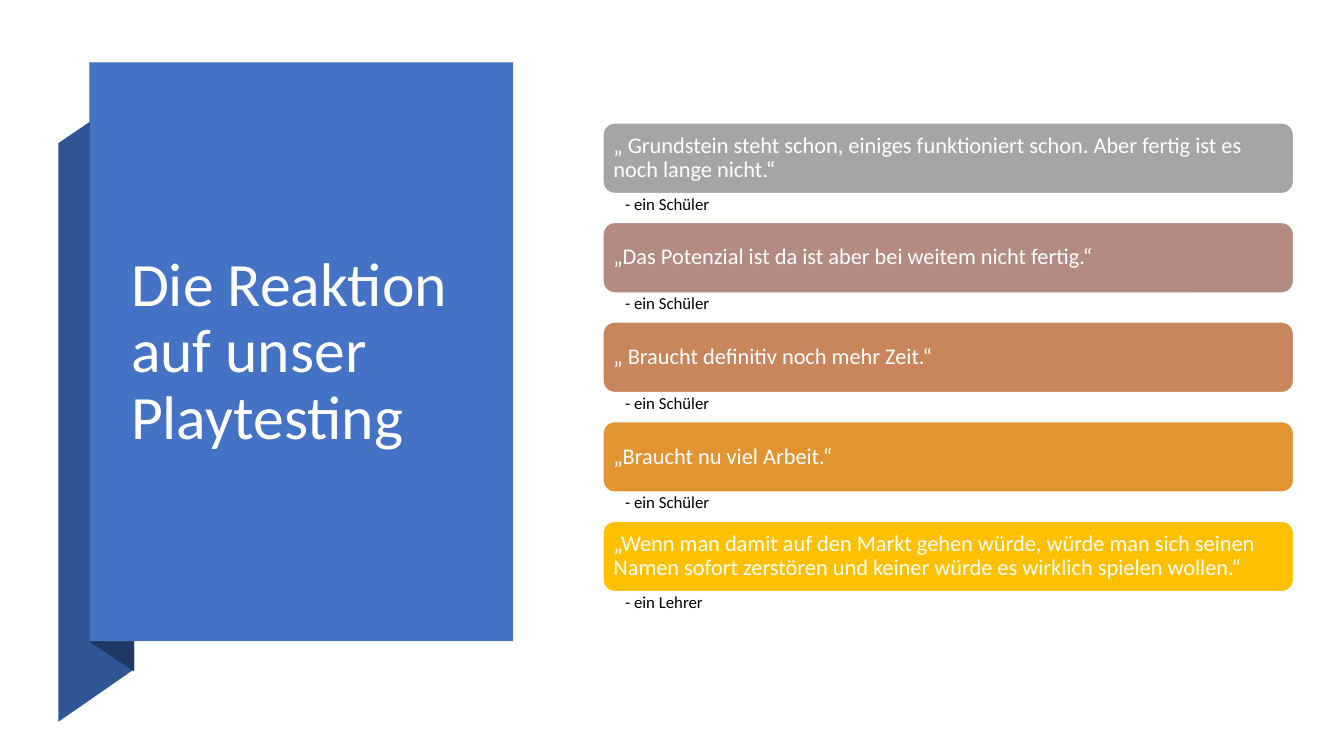
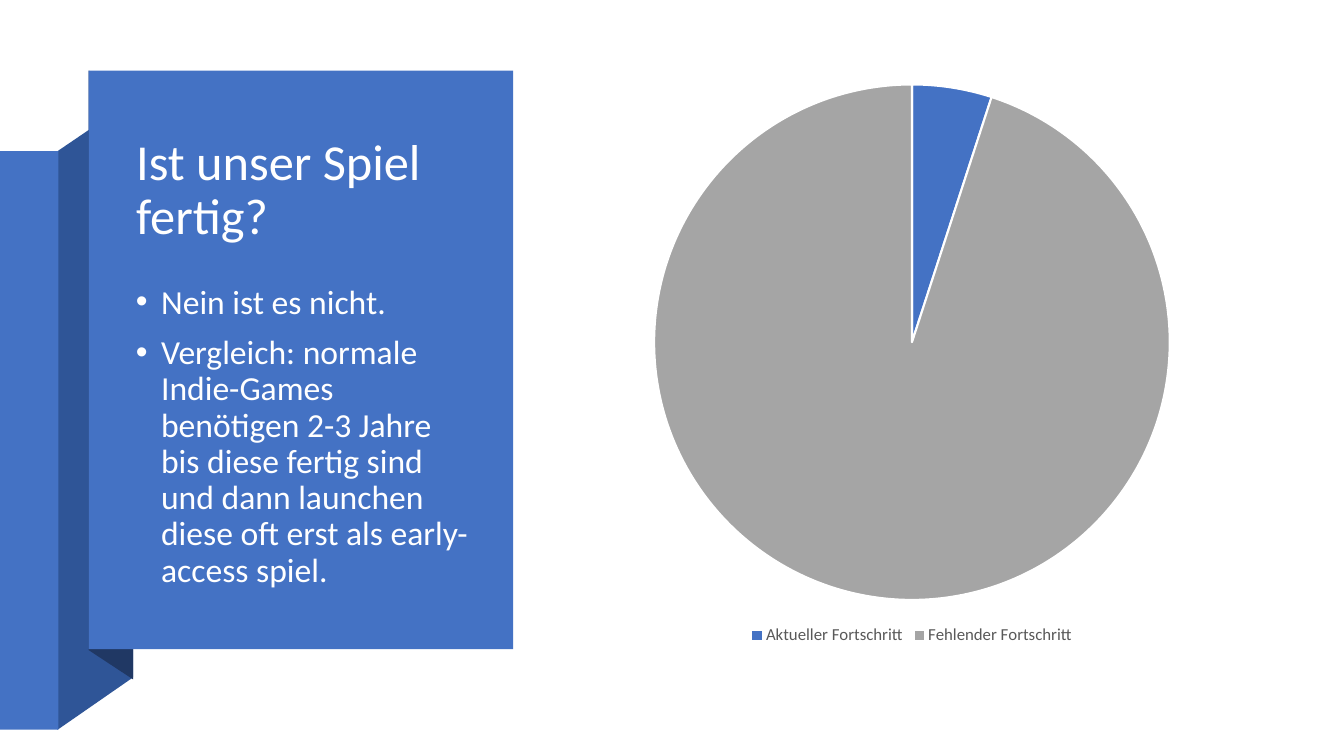
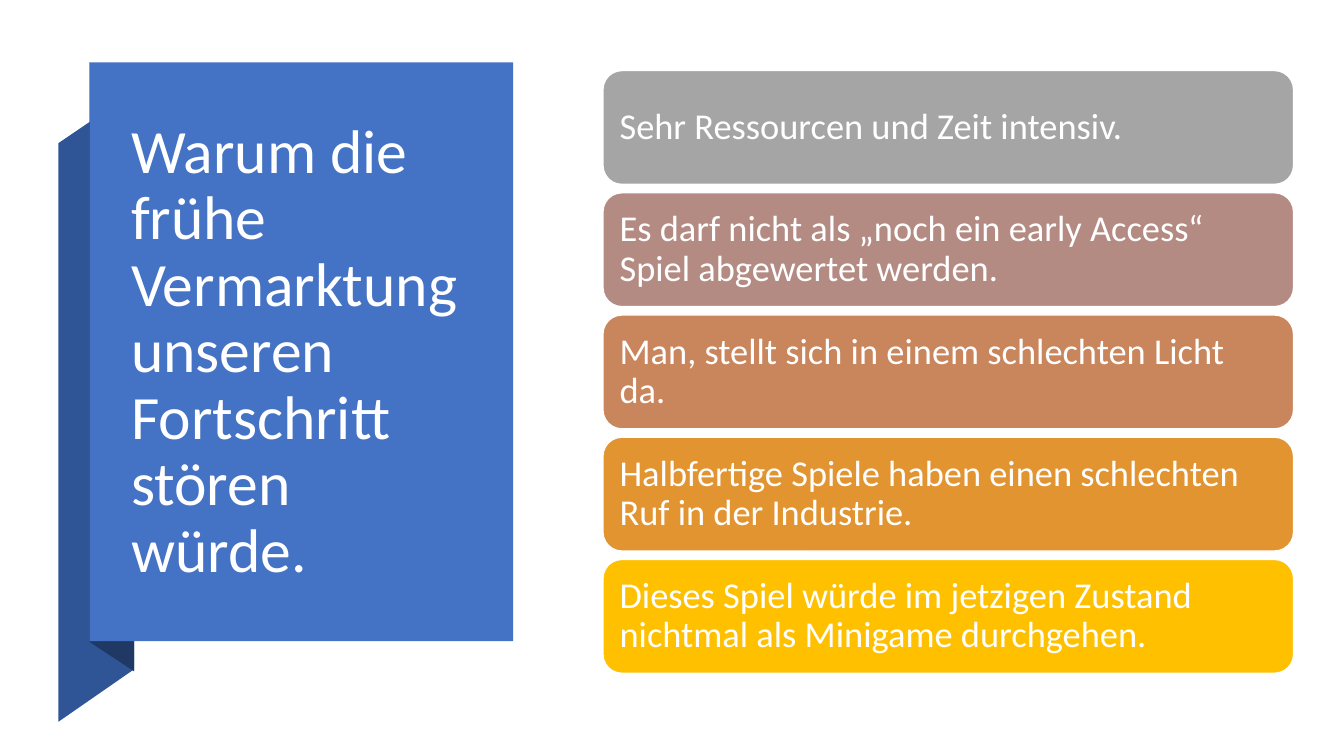
from lxml import etree
from pptx import Presentation
from pptx.chart.data import CategoryChartData
from pptx.dml.color import RGBColor
from pptx.enum import chart as ch, shapes, text
from pptx.oxml.ns import qn
from pptx.util import Inches, Pt

FONT = "Calibri"
WHITE, BLACK, GREY = "FFFFFF", "000000", "595959"
PANEL, BAND, FOLD = "4472C4", "2F5597", "203864"
CARD_COLORS = ["A5A5A5", "B48B83", "C9855C", "E19430", "FFC000"]

PANEL_HEIGHT = 5.74
# Ribbon outlines, relative to the top left corner of the panel
BAND_OUTLINE = [(-0.31, 6.54), (0.44, 6.02), (0.44, 0.29), (-0.31, 0.8)]
FOLD_OUTLINE = [(0, 5.75), (0.44, 6.04), (0.44, 0.28), (0, 0)]
CARD_LEFT, CARD_WIDTH = 5.98, 6.85

REACTIONS = [
    ("„ Grundstein steht schon, einiges funktioniert schon. Aber fertig ist es noch lange nicht.“",
     "- ein Schüler"),
    ("„Das Potenzial ist da ist aber bei weitem nicht fertig.“", "- ein Schüler"),
    ("„ Braucht definitiv noch mehr Zeit.“", "- ein Schüler"),
    ("„Braucht nu viel Arbeit.“", "- ein Schüler"),
    ("„Wenn man damit auf den Markt gehen würde, würde man sich seinen Namen sofort "
     "zerstören und keiner würde es wirklich spielen wollen.“", "- ein Lehrer"),
]
ANSWERS = [
    "Nein ist es nicht.",
    "Vergleich: normale Indie-Games benötigen 2-3 Jahre bis diese fertig sind und dann "
    "launchen diese oft erst als early-access spiel.",
]
PROGRESS = [("Aktueller Fortschritt", 5, "4472C4"), ("Fehlender Fortschritt", 95, "A5A5A5")]
REASONS = [
    "Sehr Ressourcen und Zeit intensiv.",
    "Es darf nicht als „noch ein early Access“ Spiel abgewertet werden.",
    "Man, stellt sich in einem schlechten Licht da.",
    "Halbfertige Spiele haben einen schlechten Ruf in der Industrie.",
    "Dieses Spiel würde im jetzigen Zustand nichtmal als Minigame durchgehen.",
]


def rgb(color):
    return RGBColor.from_string(color)


def box(left, top, width, height):
    return Inches(left), Inches(top), Inches(width), Inches(height)


def style_font(font, size, color):
    font.name, font.size, font.color.rgb = FONT, Pt(size), rgb(color)


def write(sp, paragraphs, size, color=WHITE, middle=False, insets=(0.1, 0.05, 0.1, 0.05),
          before=0, bullet=False):
    tf = sp.text_frame
    tf.word_wrap = True
    tf.auto_size = text.MSO_AUTO_SIZE.NONE
    tf.vertical_anchor = text.MSO_ANCHOR.MIDDLE if middle else text.MSO_ANCHOR.TOP
    tf.margin_left, tf.margin_top, tf.margin_right, tf.margin_bottom = map(Inches, insets)
    for i, words in enumerate(paragraphs):
        p = tf.add_paragraph() if i else tf.paragraphs[0]
        p.alignment = text.PP_ALIGN.LEFT
        p.line_spacing = 0.9
        p.space_before = Pt(before)
        r = p.add_run()
        r.text = words
        style_font(r.font, size, color)
        if bullet:
            props = p._p.get_or_add_pPr()
            props.set("marL", str(Inches(0.25)))
            props.set("indent", str(-Inches(0.25)))
            etree.SubElement(props, qn("a:buFont")).set("typeface", "Arial")
            etree.SubElement(props, qn("a:buChar")).set("char", "•")


def paint(sp, fill, line=None):
    sp.shadow.inherit = False
    sp.fill.solid()
    sp.fill.fore_color.rgb = rgb(fill)
    if line:
        sp.line.color.rgb = rgb(line)
        sp.line.width = Pt(1)
    else:
        sp.line.fill.background()


def add_block(slide, kind, frame, fill, line=None):
    sp = slide.shapes.add_shape(kind, *box(*frame))
    paint(sp, fill, line)
    return sp


def add_text(slide, frame, paragraphs, size, **style):
    write(slide.shapes.add_textbox(*box(*frame)), paragraphs, size, **style)


def add_outline(slide, points, fill):
    points = [(Inches(x), Inches(y)) for x, y in points]
    builder = slide.shapes.build_freeform(*points[0])
    builder.add_line_segments(points[1:], close=True)
    paint(builder.convert_to_shape(), fill)


def add_ribbon_slide(prs, title, title_frame, size=44, left=0.89, top=0.62, width=4.2, strip=False):
    """Add a slide with a folded ribbon behind its title; strip runs on to the slide edge."""
    slide = prs.slides.add_slide(prs.slide_layouts[5])
    for outline, fill in ((BAND_OUTLINE, BAND), (FOLD_OUTLINE, FOLD)):
        add_outline(slide, [(left + x, top + y) for x, y in outline], fill)
    rect = shapes.MSO_SHAPE.RECTANGLE
    if strip:
        add_block(slide, rect, (0, top + 0.8, left - 0.3, PANEL_HEIGHT), PANEL)
    add_block(slide, rect, (left, top, width, PANEL_HEIGHT), PANEL)
    sp = slide.shapes.title
    sp.left, sp.top, sp.width, sp.height = box(*title_frame)
    write(sp, [title], size, middle=True)
    slide.shapes._spTree.append(sp._element)  # bring the title in front of the ribbon
    return slide


def add_cards(slide, cards, first_top, last_top, height, size, inset):
    """Stack (words, source) cards at an even pitch; a source stands below its card."""
    pitch = (last_top - first_top) / (len(cards) - 1)
    for i, ((words, source), fill) in enumerate(zip(cards, CARD_COLORS)):
        top = first_top + i * pitch
        sp = add_block(slide, shapes.MSO_SHAPE.ROUNDED_RECTANGLE,
                       (CARD_LEFT, top, CARD_WIDTH, height), fill, WHITE)
        write(sp, [words], size, middle=True, insets=[inset] * 4)
        if source:
            add_text(slide, (CARD_LEFT, top + height, CARD_WIDTH, pitch - height), [source], 12,
                     color=BLACK, insets=(0.22, 0.02, 0.12, 0.02))


def add_progress_pie(slide, frame):
    data = CategoryChartData()
    data.categories = [name for name, _, _ in PROGRESS]
    data.add_series("Series 1", [value for _, value, _ in PROGRESS])
    chart = slide.shapes.add_chart(ch.XL_CHART_TYPE.PIE, *box(*frame), data).chart
    style_font(chart.font, 10, BLACK)
    chart.has_title = False
    chart.has_legend = True
    chart.legend.position = ch.XL_LEGEND_POSITION.BOTTOM
    chart.legend.include_in_layout = False
    style_font(chart.legend.font, 12, GREY)
    for i, (_, _, color) in enumerate(PROGRESS):
        fmt = chart.plots[0].series[0].points[i].format
        fmt.fill.solid()
        fmt.fill.fore_color.rgb = rgb(color)
        fmt.line.color.rgb = rgb(WHITE)
        fmt.line.width = Pt(1.5)


def main():
    prs = Presentation()
    prs.slide_width, prs.slide_height = Inches(13.33), Inches(7.5)
    tall_title = (1.2, 0.97, 3.53, 5.06)

    slide = add_ribbon_slide(prs, "Die Reaktion auf unser Playtesting", tall_title)
    add_cards(slide, REACTIONS, 1.22, 5.17, 0.7, 16, 0.07)

    slide = add_ribbon_slide(prs, "Ist unser Spiel fertig?", (1.25, 1.09, 3.48, 1.61), size=36,
                             left=0.88, top=0.7, width=4.21, strip=True)
    add_text(slide, (1.25, 2.78, 3.5, 3.27), ANSWERS, 24, before=10, bullet=True)
    add_progress_pie(slide, (5.47, 0.7, 7.15, PANEL_HEIGHT))

    slide = add_ribbon_slide(
        prs, "Warum die frühe Vermarktung unseren Fortschritt stören würde.", tall_title)
    add_cards(slide, [(reason, None) for reason in REASONS], 0.7, 5.55, 1.13, 26, 0.11)

    prs.save("out.pptx")


if __name__ == "__main__":
    main()
